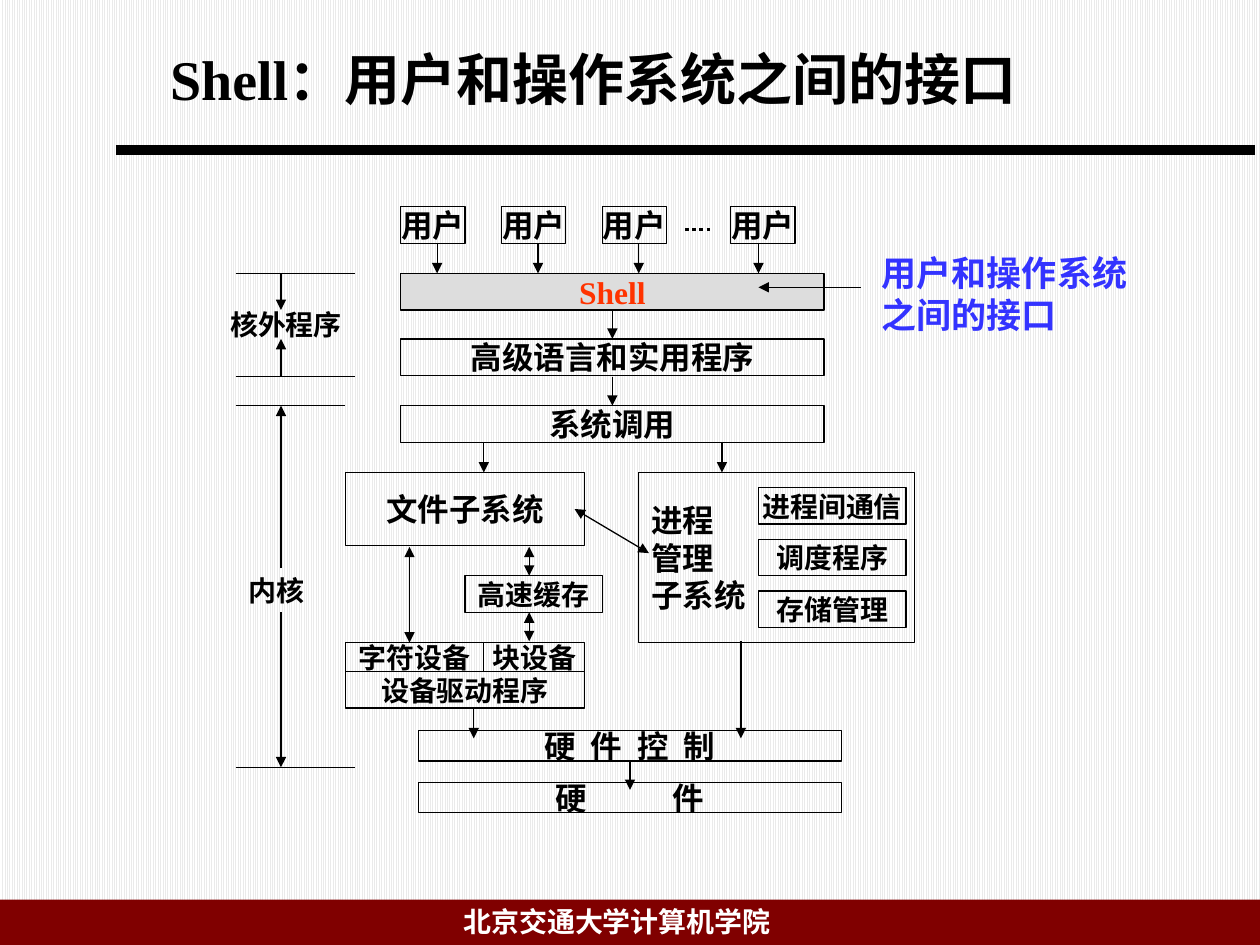
from dataclasses import dataclass

from lxml import etree
from pptx import Presentation
from pptx.dml.color import RGBColor
from pptx.enum.dml import MSO_LINE, MSO_PATTERN
from pptx.enum.shapes import MSO_CONNECTOR, MSO_SHAPE
from pptx.enum.text import MSO_ANCHOR, MSO_AUTO_SIZE, PP_ALIGN
from pptx.oxml.ns import qn
from pptx.util import Inches, Pt

RECTANGLE = MSO_SHAPE.RECTANGLE
STRAIGHT = MSO_CONNECTOR.STRAIGHT
LEFT, CENTER = PP_ALIGN.LEFT, PP_ALIGN.CENTER
TOP, MIDDLE = MSO_ANCHOR.TOP, MSO_ANCHOR.MIDDLE
BLACK, WHITE = "000000", "FFFFFF"


@dataclass
class Box:
    text: str
    left: float
    top: float
    width: float
    height: float = 0.29
    size: int = 18
    color: str = BLACK
    align: PP_ALIGN = CENTER
    fill: str | None = None
    border: bool = True
    wrap: bool = False
    spacing: float = 0  # extra points between characters


@dataclass
class Line:
    x1: float
    y1: float
    x2: float
    y2: float
    start_arrow: bool = False
    end_arrow: bool = True
    width: float = 0.75
    dash: MSO_LINE | None = None


def rgb(value: str) -> RGBColor:
    return RGBColor.from_string(value)


def set_format(target, values: dict) -> None:
    for name, value in values.items():
        setattr(target, name, value)


def write_text(frame, box: Box, anchor=MIDDLE) -> None:
    set_format(frame, {
        "auto_size": MSO_AUTO_SIZE.NONE, "word_wrap": box.wrap, "vertical_anchor": anchor,
        "margin_left": Inches(0.1), "margin_right": Inches(0.1),
        "margin_top": Inches(0.05), "margin_bottom": Inches(0.05),
    })
    for index, line_text in enumerate(box.text.split("\n")):
        paragraph = frame.paragraphs[0] if index == 0 else frame.add_paragraph()
        paragraph.alignment = box.align
        # The last character carries no spacing, so spread text stays centred
        parts = (line_text[:-1], line_text[-1]) if box.spacing else (line_text,)
        for part_index, part in enumerate(parts):
            run = paragraph.add_run()
            run.text = part
            set_format(run.font, {"name": "Times New Roman", "size": Pt(box.size), "bold": True})
            run.font.color.rgb = rgb(box.color)
            if box.spacing and part_index == 0:
                run.font._element.set("spc", str(int(box.spacing * 100)))


def draw_box(shapes, box: Box) -> None:
    place = [Inches(v) for v in (box.left, box.top, box.width, box.height)]
    if box.border or box.fill:
        shape = shapes.add_shape(RECTANGLE, *place)
        shape.shadow.inherit = False
        if box.fill:
            shape.fill.solid()
            shape.fill.fore_color.rgb = rgb(box.fill)
        else:
            shape.fill.background()
        if box.border:
            shape.line.color.rgb = rgb(BLACK)
            shape.line.width = Pt(0.75)
        else:
            shape.line.fill.background()
    else:
        shape = shapes.add_textbox(*place)
    if box.text:
        write_text(shape.text_frame, box)


def draw_line(shapes, line: Line) -> None:
    ends = [Inches(v) for v in (line.x1, line.y1, line.x2, line.y2)]
    connector = shapes.add_connector(STRAIGHT, *ends)
    connector.line.color.rgb = rgb(BLACK)
    connector.line.width = Pt(line.width)
    if line.dash:
        connector.line.dash_style = line.dash
    outline = connector.line._get_or_add_ln()
    for tag, wanted in (("a:headEnd", line.start_arrow), ("a:tailEnd", line.end_arrow)):
        if wanted:
            etree.SubElement(outline, qn(tag), type="triangle")
    etree.SubElement(connector._element.spPr, qn("a:effectLst"))


# Layers of the system, from users down to hardware
USER_LEFTS = (3.18, 3.98, 4.78, 5.8)
USER_ARROWS = (3.47, 4.27, 5.07, 6.02)
LAYER = {"left": 3.18, "width": 3.36}
HARDWARE = {"left": 3.32, "width": 3.36, "height": 0.24}
PROCESS_PARTS = ("进程间通信", "调度程序", "存储管理")

BOXES = [
    *(Box("用户", left, 1.64, 0.51) for left in USER_LEFTS),
    Box("Shell", top=2.17, color="FF3300", fill="DDDDDD", **LAYER),
    Box("高级语言和实用程序", top=2.69, **LAYER),
    Box("系统调用", top=3.22, **LAYER),
    # Kernel subsystems
    Box("文件子系统", 2.74, 3.75, 1.9, 0.58),
    Box("进程\n管理\n子系统", 5.07, 3.75, 2.19, 1.35, align=LEFT),
    *(Box(part, 6.02, 3.87 + 0.41 * i, 1.17, size=16) for i, part in enumerate(PROCESS_PARTS)),
    # Cache and device drivers
    Box("高速缓存", 3.69, 4.57, 1.09, size=16),
    Box("字符设备", 2.74, 5.1, 1.1, 0.23, size=16),
    Box("块设备", 3.84, 5.1, 0.8, 0.23, size=16),
    Box("设备驱动程序", 2.74, 5.33, 1.9, size=16),
    # Hardware
    Box("硬 件 控 制", top=5.8, spacing=2.25, **HARDWARE),
    Box("硬 件", top=6.21, spacing=22.5, **HARDWARE),
    # Side labels
    Box("核外程序", 1.72, 2.46, 1.1, 0.23, size=16, border=False),
    Box("内核", 1.72, 4.57, 0.95, 0.23, size=16, border=False),
    Box("用户和操作系统之间的接口", 6.9, 1.99, 2.35, 0.68, size=20, color="3333FF",
        align=LEFT, border=False, wrap=True),
]

LINES = [
    # Calls passed down the layers
    *(Line(x, 1.93, x, 2.17) for x in USER_ARROWS),
    Line(5.44, 1.82, 5.66, 1.82, end_arrow=False, width=2, dash=MSO_LINE.ROUND_DOT),
    Line(4.86, 2.46, 4.86, 2.69),
    Line(4.86, 2.99, 4.86, 3.22),
    Line(3.84, 3.51, 3.84, 3.75),
    Line(5.73, 3.51, 5.73, 3.75),
    Line(5.88, 5.09, 5.88, 5.86),
    Line(3.76, 5.62, 3.76, 5.86),
    Line(5, 6.03, 5, 6.27),
    # Two-way exchanges
    Line(4.56, 4.04, 5.15, 4.39, start_arrow=True),
    Line(4.2, 4.34, 4.2, 4.57, start_arrow=True),
    Line(4.2, 4.86, 4.2, 5.09, start_arrow=True),
    Line(3.25, 4.34, 3.25, 5.1, start_arrow=True),
    # Extent of the outer programs and of the kernel
    *(Line(1.87, y, right, y, end_arrow=False)
      for y, right in ((2.17, 2.82), (2.99, 2.82), (3.22, 2.74), (6.09, 2.82))),
    *(Line(2.23, start, 2.23, end)
      for start, end in ((2.17, 2.46), (2.99, 2.69), (4.51, 3.22), (4.86, 6.09))),
    # Pointer from the note to the shell
    Line(6.83, 2.28, 6.02, 2.28),
]


def main() -> None:
    deck = Presentation()
    set_format(deck, {"slide_width": Inches(10), "slide_height": Inches(7.5)})
    slide = deck.slides.add_slide(deck.slide_layouts[5])
    shapes = slide.shapes

    # Striped background
    backdrop = slide.background.fill
    backdrop.patterned()
    backdrop.pattern = MSO_PATTERN.LIGHT_VERTICAL
    backdrop.fore_color.rgb = rgb("EAEAEA")
    backdrop.back_color.rgb = rgb(WHITE)

    # Title and rule
    heading = Box("Shell：用户和操作系统之间的接口", 1.25, 0.3, 8.25, 1.25, size=32,
                  align=LEFT, wrap=True)
    set_format(shapes.title, {name: Inches(getattr(heading, name))
                              for name in ("left", "top", "width", "height")})
    write_text(shapes.title.text_frame, heading, TOP)
    draw_line(shapes, Line(0.92, 1.19, 9.96, 1.19, end_arrow=False, width=6))

    # Footer band
    draw_box(shapes, Box("", 0, 7.14, 10, 0.36, fill="800000", border=False))
    draw_box(shapes, Box("北京交通大学计算机学院", 3.58, 7.13, 3.32, 0.37, size=16,
                         color=WHITE, align=LEFT, border=False, wrap=True))

    # Diagram
    for box in BOXES:
        draw_box(shapes, box)
    for line in LINES:
        draw_line(shapes, line)

    deck.save("out.pptx")


if __name__ == "__main__":
    main()
